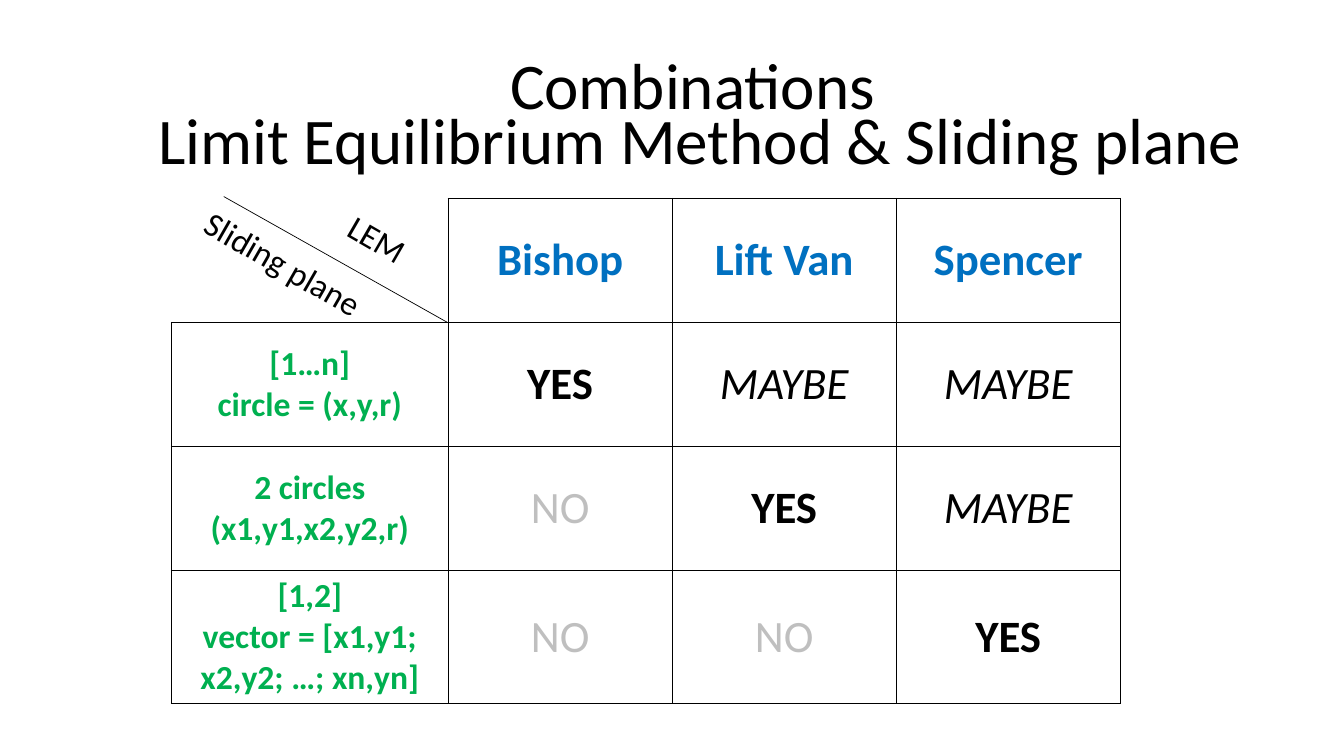
from typing import NamedTuple

from lxml.etree import SubElement
from pptx import Presentation
from pptx.dml.color import RGBColor
from pptx.enum.shapes import MSO_CONNECTOR
from pptx.enum.text import MSO_ANCHOR, MSO_AUTO_SIZE, PP_ALIGN
from pptx.oxml import parse_xml
from pptx.oxml.ns import nsdecls, qn
from pptx.util import Inches, Pt

COLORS = {"ink": "000000", "method": "0070C0", "plane": "00B050", "faint": "BFBFBF"}
FONT = "Calibri"
WIDTH, HEIGHT = Inches(13.33), Inches(7.5)


class Style(NamedTuple):
    size: float
    color: str = "ink"
    bold: bool = False
    italic: bool = False


class Area(NamedTuple):
    """Left, top, width and height in percent of the slide."""
    left: float
    top: float
    width: float
    height: float


class Label(NamedTuple):
    text: str
    area: Area
    style: Style
    frame: dict
    paragraph: dict
    rotation: float = 0


METHOD = Style(32, "method", bold=True)
PLANE = Style(24, "plane", bold=True)
VERDICTS = {
    "YES": Style(32, bold=True),
    "MAYBE": Style(32, italic=True),
    "NO": Style(32, "faint"),
}

# Sliding planes in rows, limit equilibrium methods in columns
METHODS = ["Bishop", "Lift Van", "Spencer"]
PLANES = {
    "[1…n]\vcircle = (x,y,r)": ["YES", "MAYBE", "MAYBE"],
    "2 circles (x1,y1,x2,y2,r)": ["NO", "YES", "MAYBE"],
    "[1,2]\nvector = [x1,y1; x2,y2; …; xn,yn]": ["NO", "NO", "YES"],
}
GRID = Area(12.75, 26.27, 70.61, 65.6)
PLANE_WIDTH, METHOD_WIDTH, ROW_HEIGHT = 20.6, 16.67, 16.4
DIAGONAL = Area(16.65, 26, 16.66, 16.67)

TILTED = {"word_wrap": False, "auto_size": MSO_AUTO_SIZE.SHAPE_TO_FIT_TEXT}
LABELS = [
    Label("LEM", Area(25.13, 28.27, 6, 6.67), Style(24), TILTED, {}, 30),
    Label("Sliding plane", Area(13.88, 31.6, 14.55, 6.67), Style(24), TILTED, {}, 30),
    Label("Combinations \vLimit Equilibrium Method & Sliding plane",
          Area(8.93, 4.53, 86.27, 19.33), Style(46.5),
          {"word_wrap": True, "vertical_anchor": MSO_ANCHOR.BOTTOM},
          {"alignment": PP_ALIGN.CENTER, "line_spacing": 0.7}),
]


def across(percent: float) -> int:
    return int(WIDTH * percent / 100)


def down(percent: float) -> int:
    return int(HEIGHT * percent / 100)


def place(area: Area) -> tuple[int, int, int, int]:
    return across(area.left), down(area.top), across(area.width), down(area.height)


def apply(target, values: dict) -> None:
    for name, value in values.items():
        setattr(target, name, value)


def write(frame, text: str, style: Style, paragraph: dict) -> None:
    frame.text = text
    for para in frame.paragraphs:
        apply(para, paragraph)
        for span in para.runs:
            apply(span.font, {"name": FONT, "size": Pt(style.size),
                              "bold": style.bold, "italic": style.italic})
            span.font.color.rgb = RGBColor.from_string(COLORS[style.color])


def draw_borders(cell, sides: str) -> None:
    properties = cell._tc.get_or_add_tcPr()
    for index, side in enumerate("LRTB"):
        paint = (f'<a:solidFill><a:srgbClr val="{COLORS["ink"]}"/></a:solidFill>'
                 if side in sides else "<a:noFill/>")
        border = parse_xml(f'<a:ln{side} {nsdecls("a")} w="{Pt(1)}">{paint}</a:ln{side}>')
        properties.insert(index, border)


def fill_cell(cell, text: str, style: Style, sides: str = "LRTB") -> None:
    cell.fill.background()
    cell.vertical_anchor = MSO_ANCHOR.MIDDLE
    write(cell.text_frame, text, style, {"alignment": PP_ALIGN.CENTER})
    draw_borders(cell, sides)


def add_matrix(page) -> None:
    table = page.shapes.add_table(len(PLANES) + 1, len(METHODS) + 1, *place(GRID)).table
    apply(table, {"first_row": False, "horz_banding": False})
    for column, width in zip(table.columns, [PLANE_WIDTH] + [METHOD_WIDTH] * len(METHODS)):
        column.width = across(width)
    for row in table.rows:
        row.height = down(ROW_HEIGHT)
    fill_cell(table.cell(0, 0), "", PLANE, sides="RB")
    for column, method in enumerate(METHODS, 1):
        fill_cell(table.cell(0, column), method, METHOD)
    for row, (plane, verdicts) in enumerate(PLANES.items(), 1):
        fill_cell(table.cell(row, 0), plane, PLANE)
        for column, verdict in enumerate(verdicts, 1):
            fill_cell(table.cell(row, column), verdict, VERDICTS[verdict])


def add_diagonal(page, area: Area) -> None:
    left, top, width, height = place(area)
    line = page.shapes.add_connector(
        MSO_CONNECTOR.STRAIGHT, left, top, left + width, top + height)
    line.line.width = Pt(0.5)
    line.line.color.rgb = RGBColor.from_string(COLORS["ink"])
    SubElement(line._element.spPr, qn("a:effectLst"))


def add_label(page, label: Label) -> None:
    box = page.shapes.add_textbox(*place(label.area))
    box.rotation = label.rotation
    apply(box.text_frame, label.frame)
    write(box.text_frame, label.text, label.style, label.paragraph)


deck = Presentation()
apply(deck, {"slide_width": WIDTH, "slide_height": HEIGHT})
page = deck.slides.add_slide(deck.slide_layouts[6])

# Matrix with its split corner, then the corner labels and the title
add_matrix(page)
add_diagonal(page, DIAGONAL)
for label in LABELS:
    add_label(page, label)

deck.save("out.pptx")
